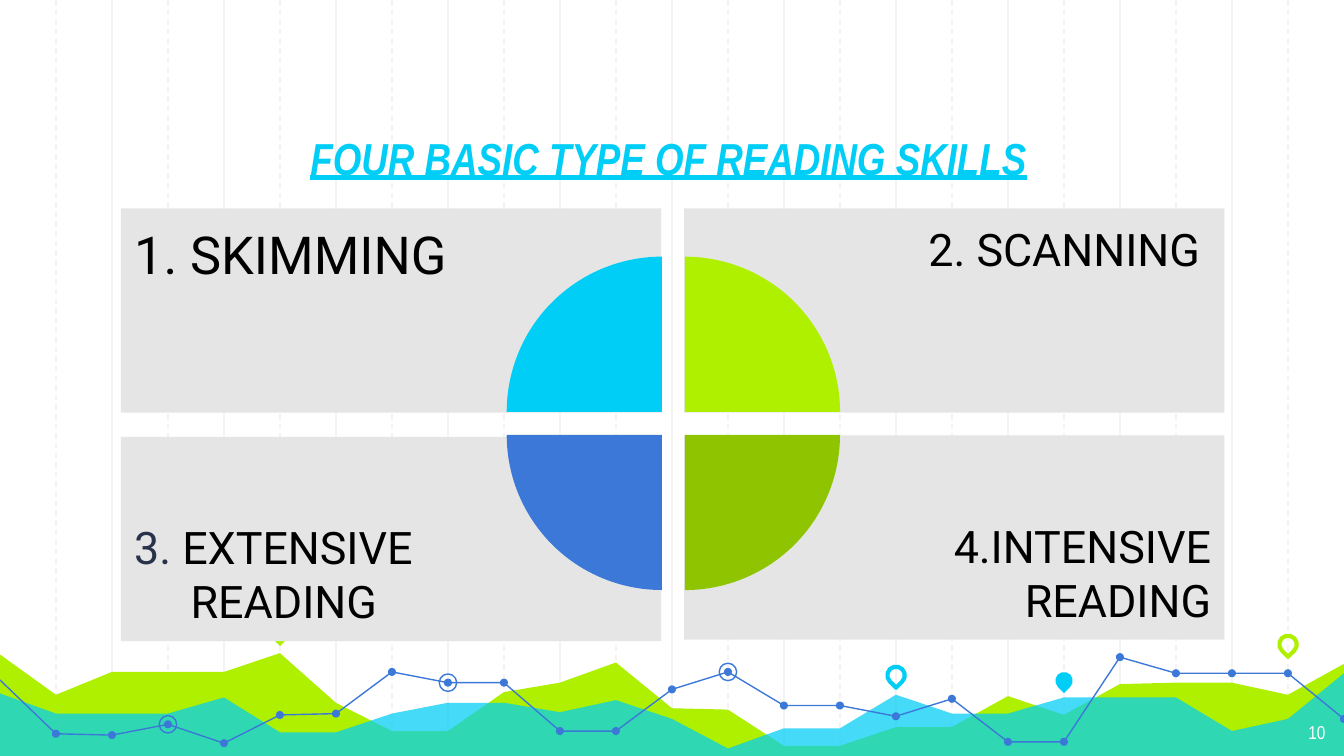
from dataclasses import dataclass

from lxml.etree import SubElement
from pptx import Presentation
from pptx.dml.color import RGBColor
from pptx.enum.dml import MSO_LINE
from pptx.enum.shapes import MSO_CONNECTOR, MSO_SHAPE
from pptx.enum.text import MSO_ANCHOR, PP_ALIGN
from pptx.oxml.ns import qn
from pptx.util import Inches, Pt


@dataclass(frozen=True)
class Theme:
    cyan: str = "00CEF6"
    lime: str = "AFF000"
    olive: str = "8EC400"
    blue: str = "3C78D8"
    panel: str = "E5E5E5"
    grid: str = "F3F3F3"
    navy: str = "28324A"
    black: str = "000000"
    white: str = "FFFFFF"
    heading_font: str = "Arial Narrow"
    body_font: str = "Roboto"
    large: int = 28
    medium: int = 24
    small: int = 10


theme = Theme()


def paint(shape, fill=None, line=None, width=0.75):
    """Give a shape a flat fill and outline; None leaves that part empty."""
    shape.shadow.inherit = False
    if fill:
        shape.fill.solid()
        shape.fill.fore_color.rgb = RGBColor.from_string(fill)
    else:
        shape.fill.background()
    if line:
        shape.line.color.rgb = RGBColor.from_string(line)
        shape.line.width = Pt(width)
    else:
        shape.line.fill.background()


def write(shape, spans, align, anchor, left=0.1, right=0.1, **font_format):
    """Fill a shape with one paragraph of (text, colour) spans."""
    frame = shape.text_frame
    frame_format = {
        "word_wrap": True, "vertical_anchor": anchor,
        "margin_left": Inches(left), "margin_right": Inches(right),
        "margin_top": Inches(0.1), "margin_bottom": Inches(0.1),
    }
    for name, value in frame_format.items():
        setattr(frame, name, value)
    para = frame.paragraphs[0]
    para.alignment = align
    for text, color in spans:
        span = para.add_run()
        span.text = text
        span.font.color.rgb = RGBColor.from_string(color)
        for name, value in font_format.items():
            setattr(span.font, name, value)
    return para


deck = Presentation()
deck.slide_width = Inches(10)
deck.slide_height = deck.slide_width * 9 // 16
page = deck.slides.add_slide(deck.slide_layouts[6])
shapes = page.shapes

# Vertical grid: 24 equal steps, solid on even columns and dashed on odd ones
columns = 24
step = 10 / columns
for column in [*range(2, columns, 2), *range(1, columns, 2)]:
    x = Inches(column * step)
    rule = shapes.add_connector(MSO_CONNECTOR.STRAIGHT, x, 0, x, Inches(5.65))
    rule.line.color.rgb = RGBColor.from_string(theme.grid)
    rule.line.width = Pt(0.75)
    if column % 2:
        rule.line.dash_style = MSO_LINE.DASH
    SubElement(rule._element.spPr, qn("a:effectLst"))

# Landscape: one height per grid column, from the left edge to the right
lime_heights = [4.87, 5.17, 5, 5, 5, 4.86, 5.23, 5.44, 5.44, 5.15, 5.08, 4.93, 5.27,
                5.28, 5.55, 5.55, 5.41, 5.41, 5.18, 5.32, 5.09, 5.08, 5.08, 5.17, 4.94]
cyan_heights = [5.16, 5.31, 5.31, 5.31, 5.19, 5.45, 5.45, 5.31, 5.23, 5.23, 5.3, 5.21, 5.35,
                5.57, 5.42, 5.42, 5.17, 5.31, 5.31, 5.19, 5.19, 5.19, 5.44, 5.35, 5.01]
trend_heights = [5.06, 5.46, 5.47, 5.39, 5.53, 5.32, 5.31, 5, 5.08, 5.08, 5.44, 5.44, 5.13,
                 5, 5.25, 5.25, 5.33, 5.2, 5.52, 5.52, 4.89, 5.01, 5.01, 5.01, 5.35]

for heights, fill, line in [
    (lime_heights, theme.lime, None),
    (cyan_heights, theme.cyan, None),
    (trend_heights, None, theme.blue),
]:
    points = [(Inches(i * step), Inches(y)) for i, y in enumerate(heights)]
    if fill:
        points += [(deck.slide_width, Inches(5.65)), (0, Inches(5.65))]
    builder = shapes.build_freeform(*points[0], scale=1.0)
    builder.add_line_segments(points[1:], close=bool(fill))
    outline = builder.convert_to_shape()
    paint(outline, fill, line)
    if fill == theme.cyan:
        color = outline._element.spPr.find(qn("a:solidFill"))[0]
        SubElement(color, qn("a:alpha"), val="73000")

# Markers on the trend line: (column, diameter, fill, line)
markers = [(column, 0.06, theme.blue, None) for column in range(1, columns + 1)]
markers += [(column, 0.13, None, theme.blue) for column in (3, 8, 13)]
for column, size, fill, line in markers:
    marker = shapes.add_shape(
        MSO_SHAPE.OVAL, Inches(column * step - size / 2),
        Inches(trend_heights[column] - size / 2), Inches(size), Inches(size))
    paint(marker, fill, line)

# Map pins: (column, top, fill, line)
for column, top, fill, line in [
    (5, 4.65, theme.lime, None),
    (16, 4.96, None, theme.cyan),
    (19, 5, theme.cyan, None),
    (23, 4.73, None, theme.lime),
]:
    size = 0.13
    pin = shapes.add_shape(MSO_SHAPE.TEAR, Inches(column * step - size / 2), Inches(top),
                           Inches(size), Inches(size))
    pin.rotation = 135
    paint(pin, fill, line, 2.25)

title = shapes.add_textbox(Inches(1.15), Inches(0.69), Inches(7.65), Inches(0.78))
write(title, [("FOUR BASIC TYPE OF READING SKILLS", theme.cyan)],
      PP_ALIGN.CENTER, MSO_ANCHOR.BOTTOM, name=theme.heading_font,
      size=Pt(theme.medium), bold=True, italic=True, underline=True)

page_number = shapes.add_textbox(Inches(9.36), Inches(5.28), Inches(0.6), Inches(0.35))
write(page_number, [("10", theme.white)], PP_ALIGN.RIGHT, MSO_ANCHOR.TOP,
      name=theme.heading_font, size=Pt(theme.small))

# Skill panels: (left, top, spans, type size, hanging indent)
for left, top, spans, size, hanging in [
    (0.9, 1.55, [("1. SKIMMING", theme.black)], theme.large, 0),
    (5.09, 1.55, [("2. SCANNING ", theme.black)], theme.medium, 0),
    (0.9, 3.25, [("3.", theme.navy), (" EXTENSIVE READING", theme.black)], theme.medium, 0.42),
    (5.09, 3.24, [("4.INTENSIVE READING", theme.black)], theme.medium, 0),
]:
    panel = shapes.add_shape(MSO_SHAPE.RECTANGLE, Inches(left), Inches(top),
                             Inches(4.02), Inches(1.52))
    paint(panel, theme.panel)
    on_left, on_top = left < 5, top < 3
    para = write(panel, spans, PP_ALIGN.LEFT if on_left else PP_ALIGN.RIGHT,
                 MSO_ANCHOR.TOP if on_top else MSO_ANCHOR.BOTTOM,
                 left=0.1 if on_left else 1.5, right=1.5 if on_left else 0.1,
                 name=theme.body_font, size=Pt(size))
    if hanging:
        properties = para._p.get_or_add_pPr()
        properties.set("marL", str(Inches(hanging)))
        properties.set("indent", str(-Inches(hanging)))

# Quarter circles, clockwise from the top left
for turn, (left, top, fill) in enumerate([
    (3.77, 1.91, theme.cyan),
    (3.94, 1.91, theme.lime),
    (3.94, 2.08, theme.olive),
    (3.77, 2.08, theme.blue),
]):
    quarter = shapes.add_shape(MSO_SHAPE.PIE, Inches(left), Inches(top),
                               Inches(2.31), Inches(2.31))
    quarter.adjustments[0], quarter.adjustments[1] = 108, 162  # 180 to 270 degrees
    quarter.rotation = turn * 90
    paint(quarter, fill)

deck.save("out.pptx")
